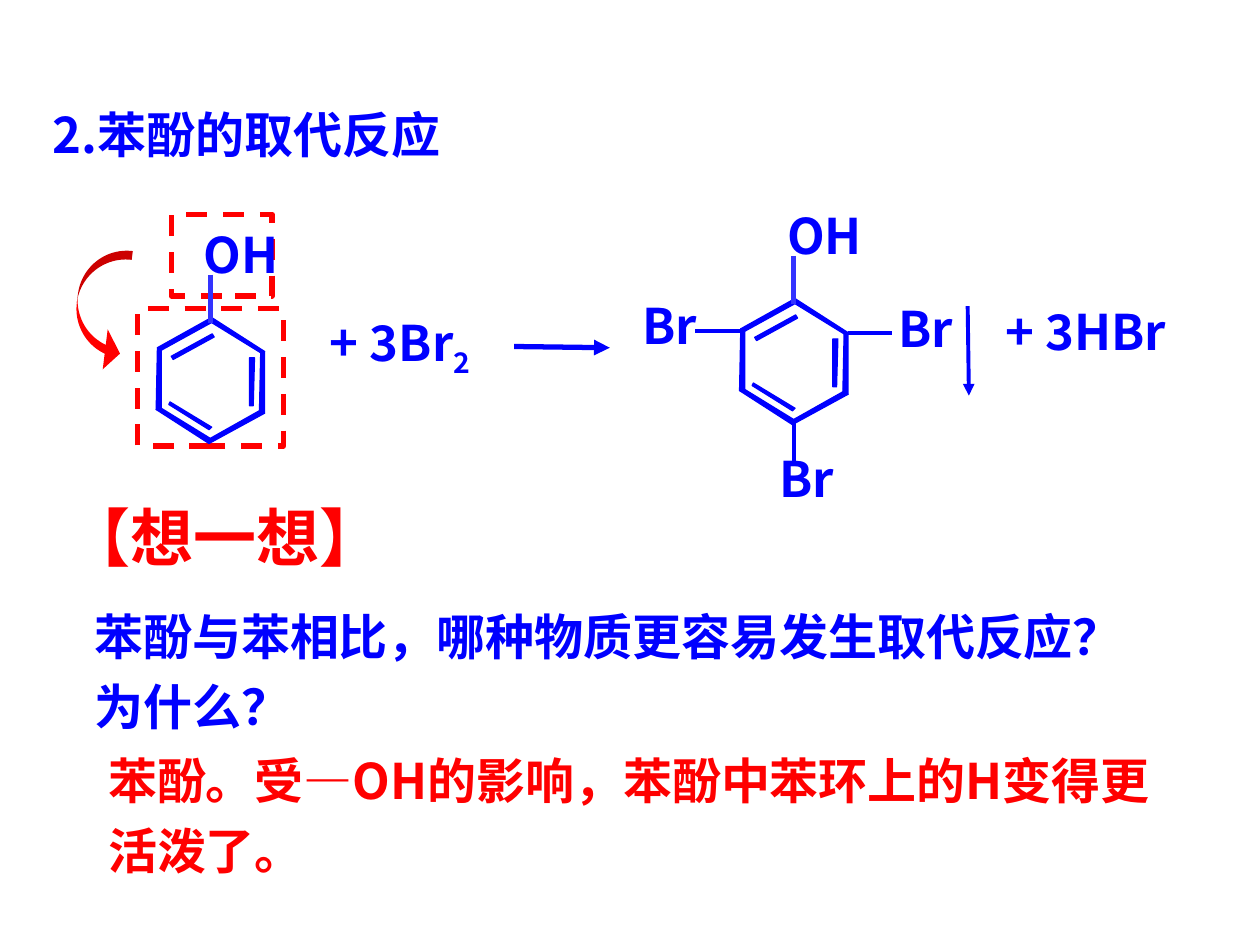
from dataclasses import dataclass

from lxml.etree import SubElement
from pptx import Presentation
from pptx.dml.color import RGBColor
from pptx.enum.dml import MSO_LINE
from pptx.enum.shapes import MSO_CONNECTOR, MSO_SHAPE
from pptx.enum.text import MSO_AUTO_SIZE
from pptx.oxml.ns import qn
from pptx.util import Inches, Pt


@dataclass(frozen=True)
class Theme:
    font: str = "Noto Sans CJK SC"
    blue: RGBColor = RGBColor(0x00, 0x00, 0xFF)
    bond_blue: RGBColor = RGBColor(0x33, 0x33, 0xFF)
    red: RGBColor = RGBColor(0xFF, 0x00, 0x00)
    body: int = 28
    prompt: int = 36
    outline: float = 0.75
    thin: float = 2.25
    thick: float = 3


THEME = Theme()
SLIDE_WIDTH, SLIDE_HEIGHT = Inches(10), Inches(7.5)
COLUMNS, ROWS = 100, 75

# Benzene ring in grid cells, clockwise from the top carbon at (0, 0).
OUTER = [(0, 0), (4.2, 2.7), (4.2, 7.6), (-0.2, 10), (-4.4, 7.3), (-4.3, 2.4)]
INNER = [(0, 0.4), (3.9, 2.8), (3.8, 7.4), (-0.1, 9.6), (-4, 7.2), (-4, 2.6)]
DOUBLE_BONDS = [
    [(3, 3.2), (3.4, 3.2), (3.3, 7), (3, 7)],
    [(0, 8.7), (-0.2, 8.9), (-3.4, 6.9), (-3.3, 6.7)],
    [(-3.2, 3.08), (0.05, 1.3), (0.2, 1.55), (-3.05, 3.33)],
]


def x(column):
    return round(SLIDE_WIDTH * column / COLUMNS)


def y(row):
    return round(SLIDE_HEIGHT * row / ROWS)


def cells(left, top, width, height):
    return x(left), y(top), x(width), y(height)


def add_text(slide, area, paragraphs, color=THEME.blue, size=THEME.body, spacing=None):
    """Each paragraph is a list of (text, baseline shift) runs."""
    frame = slide.shapes.add_textbox(*cells(*area)).text_frame
    frame.word_wrap = True
    frame.auto_size = MSO_AUTO_SIZE.SHAPE_TO_FIT_TEXT
    for number, runs in enumerate(paragraphs):
        paragraph = frame.add_paragraph() if number else frame.paragraphs[0]
        if spacing:
            paragraph.line_spacing = spacing
        for text, baseline in runs:
            run = paragraph.add_run()
            run.text = text
            run.font.name = THEME.font
            run.font.size = Pt(size)
            run.font.bold = True
            run.font.color.rgb = color
            properties = run.font._element
            SubElement(properties, qn("a:ea")).set("typeface", THEME.font)
            if baseline:
                properties.set("baseline", str(baseline))


def add_label(slide, area, text, **style):
    add_text(slide, area, [[(text, 0)]], **style)


def add_line(slide, start, end, width, color=THEME.blue, arrow=False):
    line = slide.shapes.add_connector(
        MSO_CONNECTOR.STRAIGHT, x(start[0]), y(start[1]), x(end[0]), y(end[1]))
    line.line.color.rgb = color
    line.line.width = Pt(width)
    if arrow:
        SubElement(line.line._get_or_add_ln(), qn("a:tailEnd")).set("type", "triangle")
    SubElement(line._element.spPr, qn("a:effectLst"))


def add_bar(slide, corners):
    points = [(x(column), y(row)) for column, row in corners]
    builder = slide.shapes.build_freeform(*points[0])
    builder.add_line_segments(points[1:], close=True)
    bar = builder.convert_to_shape()
    bar.shadow.inherit = False
    bar.fill.solid()
    bar.fill.fore_color.rgb = THEME.blue
    bar.line.color.rgb = THEME.blue
    bar.line.width = Pt(THEME.outline)


def add_phenol(slide, left, top):
    """Ring and hydroxyl group, placed by the ring's top carbon."""
    sides = [(OUTER[i - 1], OUTER[i], INNER[i], INNER[i - 1]) for i in range(6)]
    for corners in sides + DOUBLE_BONDS:
        add_bar(slide, [(left + dx, top + dy) for dx, dy in corners])
    add_label(slide, (left - 1.6, top - 7.9, 11.6, 5.7), "OH")
    add_line(slide, (left - 0.1, top - 3.4), (left - 0.1, top + 0.4),
             THEME.thick, THEME.bond_blue)


def add_dashed_frame(slide, area):
    frame = slide.shapes.add_shape(MSO_SHAPE.RECTANGLE, *cells(*area))
    frame.shadow.inherit = False
    frame.fill.background()
    frame.line.color.rgb = THEME.red
    frame.line.width = Pt(THEME.thick)
    frame.line.dash_style = MSO_LINE.DASH


def add_influence_arrow(slide, area):
    arrow = slide.shapes.add_shape(MSO_SHAPE.CURVED_UP_ARROW, *cells(*area))
    arrow.rotation = 97.1
    for index, share in enumerate((0.18, 0.82, 0.31)):
        arrow.adjustments[index] = share
    arrow.shadow.inherit = False
    arrow.fill.solid()
    arrow.fill.fore_color.rgb = THEME.red
    arrow.line.fill.background()


def add_reactants(slide):
    add_dashed_frame(slide, (10.9, 24.5, 11.6, 10.9))
    add_influence_arrow(slide, (3.1, 22.6, 9.8, 3.9))
    add_dashed_frame(slide, (13.6, 17, 8, 6.5))
    add_phenol(slide, 16.8, 25.2)
    add_text(slide, (25.2, 24.3, 15.6, 6.3), [[("+ 3Br", 0), ("2", -25000)]])
    add_line(slide, (40.8, 27.5), (48.4, 27.6), THEME.thick, arrow=True)


def add_products(slide):
    add_phenol(slide, 63.1, 23.7)
    for label_corner, ring_end, bromine_end in (
        ((70.3, 23.2), (67.3, 26.4), (70.8, 26.4)),
        ((60.9, 35.1), (63, 33.5), (63, 36.7)),
        ((50, 23), (58.7, 26.3), (55.2, 26.3)),
    ):
        add_label(slide, (*label_corner, 21.4, 5.7), "Br")
        add_line(slide, ring_end, bromine_end, THEME.thin)
    add_line(slide, (76.8, 24.3), (76.9, 31.4), THEME.thin, arrow=True)
    add_label(slide, (78.8, 23.4, 15.6, 5.7), "+ 3HBr")


def main():
    presentation = Presentation()
    presentation.slide_width, presentation.slide_height = SLIDE_WIDTH, SLIDE_HEIGHT
    slide = presentation.slides.add_slide(presentation.slide_layouts[6])

    add_label(slide, (3.2, 7.8, 45.8, 5.7), "2.苯酚的取代反应")
    add_reactants(slide)
    add_products(slide)
    add_label(slide, (4.4, 39.1, 30.2, 7), "【想一想】",
              color=THEME.red, size=THEME.prompt)
    add_text(slide, (6.5, 46.7, 91.1, 12.2),
             [[("苯酚与苯相比，哪种物质更容易发生取代反应？", 0)], [("为什么？", 0)]],
             spacing=1.2)
    add_label(slide, (7.6, 58.1, 88.3, 12.2),
              "苯酚。受—OH的影响，苯酚中苯环上的H变得更活泼了。",
              color=THEME.red, spacing=1.2)
    presentation.save("out.pptx")


if __name__ == "__main__":
    main()
